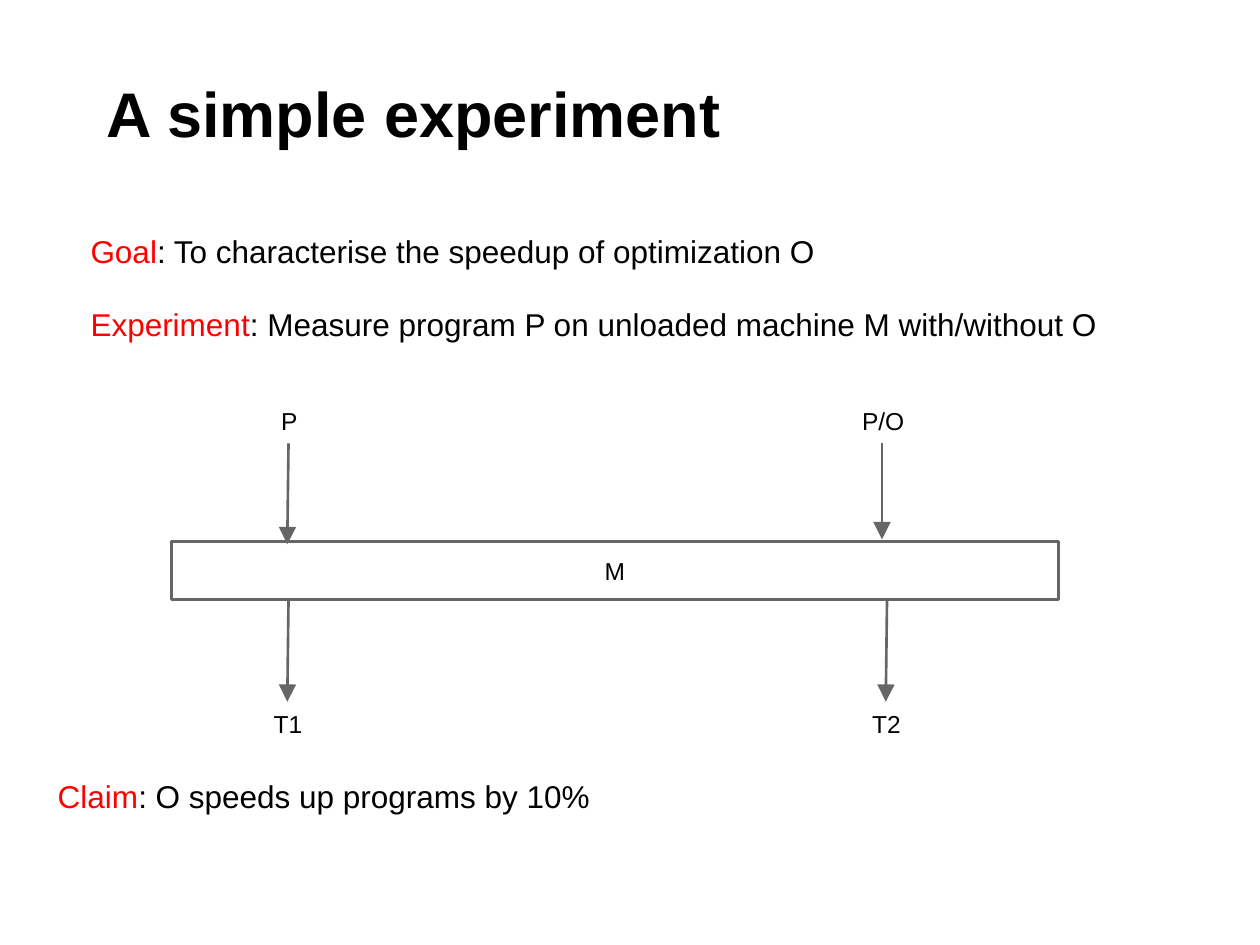
import pptx
import pptx.util
import pptx.dml.color
import pptx.enum.shapes
import pptx.enum.text
import pptx.oxml
import pptx.oxml.ns

Inches, Pt = pptx.util.Inches, pptx.util.Pt
Align = pptx.enum.text.PP_ALIGN
Anchor = pptx.enum.text.MSO_ANCHOR
GREY, RED, BLACK, WHITE = "666666", "FF0000", "000000", "FFFFFF"


def color(value):
    return pptx.dml.color.RGBColor.from_string(value)


def write(shape, text, size, align=Align.LEFT, anchor=Anchor.TOP, lead=""):
    """Fill a shape with one paragraph, with an optional red lead word."""
    frame = shape.text_frame
    frame.word_wrap = True
    frame.auto_size = pptx.enum.text.MSO_AUTO_SIZE.SHAPE_TO_FIT_TEXT
    frame.vertical_anchor = anchor
    frame.margin_left = frame.margin_right = Inches(0.1)
    frame.margin_top = frame.margin_bottom = Inches(0.1)
    para = frame.paragraphs[0]
    para.alignment = align
    para.font.size = Pt(size)
    para.font.name = "Arial"
    for part, tint in ((lead, RED), (text, BLACK)):
        if part:
            run = para.add_run()
            run.text = part
            run.font.color.rgb = color(tint)
    return para


deck = pptx.Presentation()
deck.slide_width, deck.slide_height = Inches(10), Inches(7.5)
slide = deck.slides.add_slide(deck.slide_layouts[6])
shapes = slide.shapes

# Title
box = shapes.add_textbox(Inches(0.5), Inches(0.3), Inches(9), Inches(0.99))
title = write(box, "A simple experiment", 36, anchor=Anchor.BOTTOM)
title.font.bold = True
title._p.get_or_add_pPr().set("indent", str(Inches(0.25)))

# Goal, experiment and claim
for left, top, width, lead, text in (
    (0.62, 1.74, 8.79, "Goal", ": To characterise the speedup of optimization O"),
    (0.62, 2.32, 8.79, "Experiment",
     ": Measure program P on unloaded machine M with/without O"),
    (0.36, 6.07, 9.15, "Claim", ": O speeds up programs by 10%"),
):
    box = shapes.add_textbox(Inches(left), Inches(top), Inches(width), Inches(0.66))
    write(box, text, 18, lead=lead)

# Machine
bar = shapes.add_shape(pptx.enum.shapes.MSO_SHAPE.RECTANGLE,
                       Inches(1.36), Inches(4.3), Inches(7.04), Inches(0.46))
bar.shadow.inherit = False
bar.fill.solid()
bar.fill.fore_color.rgb = color(WHITE)
bar.line.color.rgb = color(GREY)
bar.line.width = Pt(1.5)
write(bar, "M", 14, Align.CENTER, Anchor.MIDDLE)

# Programs above, times below
for left, top, width, text in (
    (2.05, 3.12, 0.49, "P"),
    (6.64, 3.12, 0.74, "P/O"),
    (2.04, 5.53, 0.49, "T1"),
    (6.79, 5.53, 0.49, "T2"),
):
    box = shapes.add_textbox(Inches(left), Inches(top), Inches(width), Inches(0.4))
    write(box, text, 14, Align.CENTER)

# Arrows into and out of the machine
for start, top, end, bottom in (
    (2.29, 3.52, 2.28, 4.32),
    (7, 3.52, 7, 4.28),
    (2.29, 4.77, 2.28, 5.57),
    (7.04, 4.77, 7.03, 5.57),
):
    arrow = shapes.add_connector(pptx.enum.shapes.MSO_CONNECTOR.STRAIGHT,
                                 Inches(start), Inches(top),
                                 Inches(end), Inches(bottom))
    arrow.line.color.rgb = color(GREY)
    arrow.line.width = Pt(1.5)
    head = pptx.oxml.parse_xml(
        f'<a:tailEnd {pptx.oxml.ns.nsdecls("a")} type="triangle" w="lg" len="lg"/>')
    arrow.line._get_or_add_ln().append(head)
    arrow._element.spPr.append(
        pptx.oxml.parse_xml(f'<a:effectLst {pptx.oxml.ns.nsdecls("a")}/>'))

deck.save("out.pptx")
